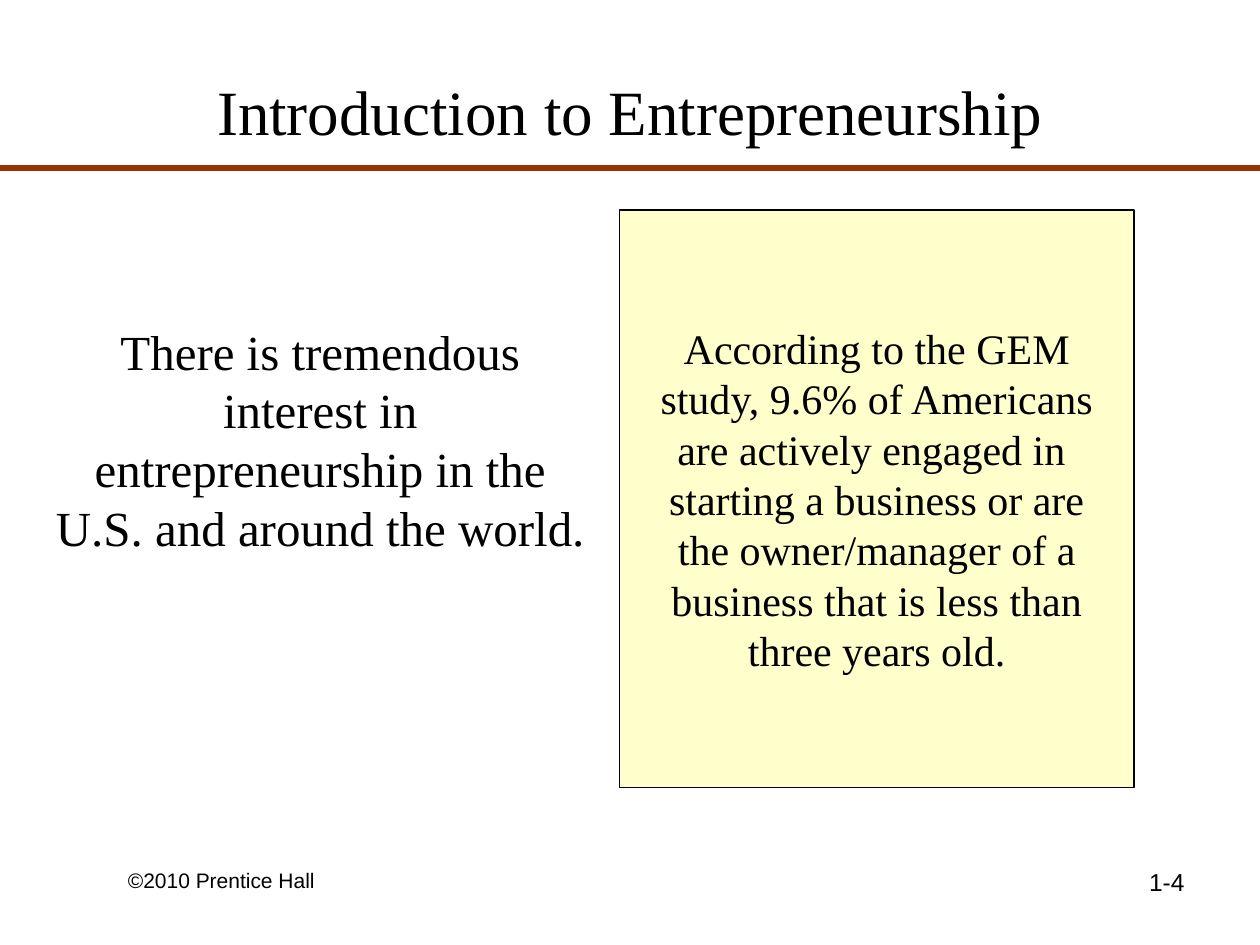
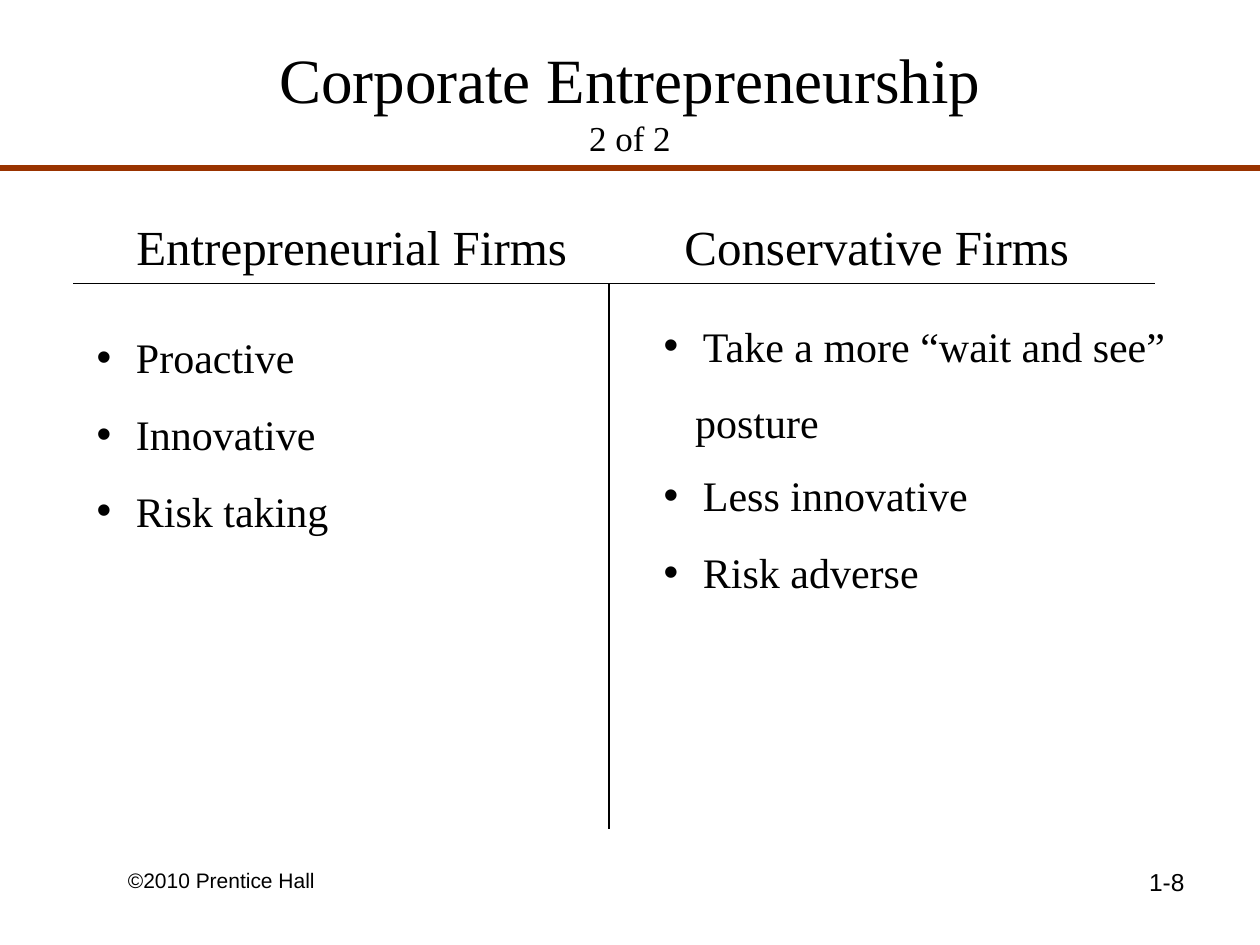
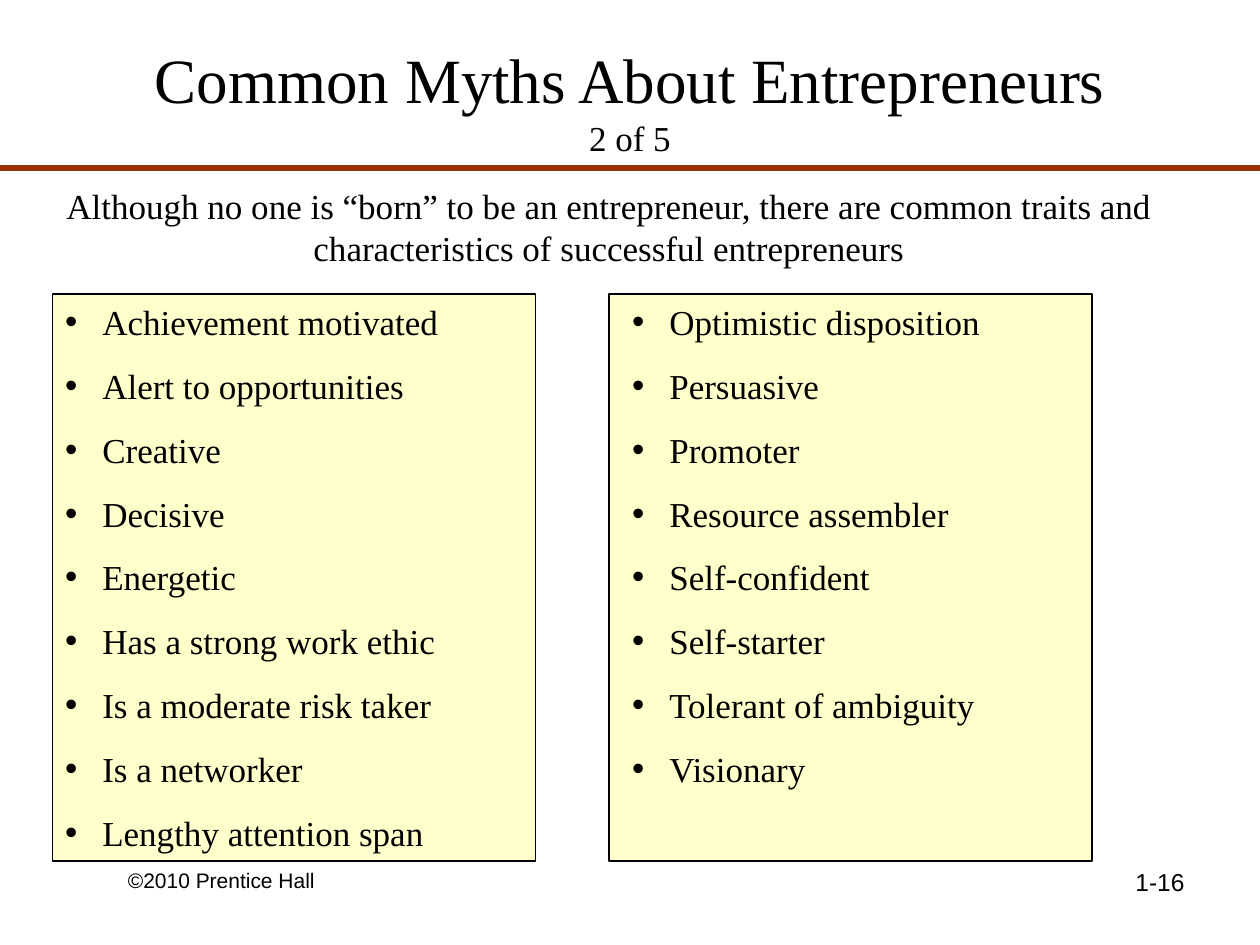
from lxml import etree
from pptx import Presentation
from pptx.dml.color import RGBColor
from pptx.enum import shapes, text
from pptx.oxml import ns
from pptx.util import Pt

INK, RULE, PANEL = "000000", "993300", "FFFFCC"
SERIF, SANS = "Times New Roman", "Arial"
LEFT, CENTER, RIGHT = text.PP_ALIGN.LEFT, text.PP_ALIGN.CENTER, text.PP_ALIGN.RIGHT


def color(value):
    return RGBColor.from_string(value)


def write(sp, box, lines, size, align=LEFT, gap=0, font=SERIF, hang=0):
    """Place a text shape and fill it, one paragraph per line."""
    sp.left, sp.top, sp.width, sp.height = [Pt(v) for v in box]
    tf = sp.text_frame
    tf.word_wrap = True
    tf.auto_size = text.MSO_AUTO_SIZE.NONE
    tf.vertical_anchor = text.MSO_ANCHOR.TOP
    for i, line in enumerate(lines):
        p = tf.paragraphs[0] if i == 0 else tf.add_paragraph()
        pPr = p._p.get_or_add_pPr()
        pPr.set("marL", str(Pt(hang)))
        pPr.set("indent", str(Pt(-hang)))
        p.alignment = align
        p.line_spacing = Pt(1.2 * size)
        p.space_before = Pt(gap if i else 0)
        r = p.add_run()
        r.text = line
        r.font.name, r.font.size, r.font.bold = font, Pt(size), False
        r.font.color.rgb = color(INK)
    return tf


prs = Presentation()
prs.slide_width, prs.slide_height = Pt(720), Pt(540)

# Shared frame: title, rule, copyright and page number
pages = [
    ("Title Only", "Introduction to Entrepreneurship", None, "1-4", 18),
    ("Comparison", "Corporate Entrepreneurship", "2 of 2", "1-8", 12),
    ("Two Content", "Common Myths About Entrepreneurs", "2 of 5", "1-16", 12),
]
rules = [[(0, 96, 720, 96, RULE, 3)] for page in pages]
rules[1] += [(348, 162, 348, 474, INK, 0.75), (42, 162, 660, 162, INK, 0.75)]

for (layout, title, part, number, top), lines in zip(pages, rules):
    s = prs.slides.add_slide(prs.slide_layouts.get_by_name(layout))
    sp = s.shapes.title
    sp.left, sp.top, sp.width, sp.height = Pt(36), Pt(top), Pt(648), Pt(90)
    tf = sp.text_frame
    tf.auto_size = text.MSO_AUTO_SIZE.NONE
    tf.vertical_anchor = text.MSO_ANCHOR.MIDDLE
    p = tf.paragraphs[0]
    p.alignment = CENTER
    for words, size in ((title, 36), (part, 20)):
        if words:
            if p.runs:
                p.add_line_break()
            r = p.add_run()
            r.text = words
            r.font.name, r.font.size = SERIF, Pt(size)
            r.font.color.rgb = color(INK)

    for x1, y1, x2, y2, ink, weight in lines:
        ln = s.shapes.add_connector(shapes.MSO_CONNECTOR.STRAIGHT, Pt(x1), Pt(y1), Pt(x2), Pt(y2))
        ln.line.color.rgb, ln.line.width = color(ink), Pt(weight)
        etree.SubElement(ln._element.spPr, ns.qn("a:effectLst"))

    write(s.shapes.add_textbox(0, 0, 0, 0), (66, 492, 168, 19.5),
          ["©2010 Prentice Hall"], 12, font=SANS)
    write(s.shapes.add_textbox(0, 0, 0, 0), (516, 492, 168, 37.5),
          [number], 14, RIGHT, font=SANS)

intro, firms, myths = prs.slides

# Slide 1: statement and study result
write(intro.shapes.add_textbox(0, 0, 0, 0), (24, 180, 318, 142),
      ["There is tremendous interest in entrepreneurship in the U.S. and around the world."],
      28, CENTER)
study = [
    "According to the GEM",
    "study, 9.6% of Americans",
    "are actively engaged in ",
    "starting a business or are",
    "the owner/manager of a",
    "business that is less than",
    "three years old.",
]
panels = [intro.shapes.add_shape(shapes.MSO_SHAPE.RECTANGLE, 0, 0, 0, 0)]
tf = write(panels[0], (354, 120, 294, 330), study, 24, CENTER)
tf.vertical_anchor = text.MSO_ANCHOR.MIDDLE
tf.word_wrap = False

# Slide 2: two kinds of firms
ph = firms.placeholders
write(ph[1], (60, 120, 282, 41), ["Entrepreneurial Firms"], 28, CENTER)
write(ph[3], (372, 120, 258, 41), ["Conservative Firms"], 28, CENTER)
write(ph[2], (48, 186, 294, 124), ["Proactive", "Innovative", "Risk taking"],
      24, gap=15, hang=22.5)
tf = write(ph[4], (372, 179.3, 312, 168),
           ["Take a more “wait and see”", "posture", "Less innovative", "Risk adverse"],
           24, gap=15, hang=22.5)
posture, less = tf.paragraphs[1:3]
pPr = posture._p.get_or_add_pPr()
pPr.set("marL", str(Pt(18)))
pPr.set("indent", "0")
etree.SubElement(pPr, ns.qn("a:buNone"))
less.space_before = Pt(13)

# Slide 3: traits in two panels
write(myths.shapes.add_textbox(0, 0, 0, 0), (30, 102, 636, 55.5),
      ["Although no one is “born” to be an entrepreneur, there are common traits "
       "and characteristics of successful entrepreneurs"], 20, CENTER)
traits = [
    (1, 30, 30, 264, ["Achievement motivated", "Alert to opportunities", "Creative",
                      "Decisive", "Energetic", "Has a strong work ethic",
                      "Is a moderate risk taker", "Is a networker",
                      "Lengthy attention span"]),
    (2, 348, 354, 270, ["Optimistic disposition", "Persuasive", "Promoter",
                        "Resource assembler", "Self-confident", "Self-starter",
                        "Tolerant of ambiguity", "Visionary"]),
]
for idx, panel_x, list_x, width, items in traits:
    body = myths.placeholders[idx]
    write(body, (list_x, 168, width, 324), items, 20, gap=12.5, hang=21.25)
    panel = myths.shapes.add_shape(shapes.MSO_SHAPE.RECTANGLE,
                                   Pt(panel_x), Pt(168), Pt(276), Pt(324))
    body._element.addprevious(panel._element)
    panels.append(panel)

# Panel style
for panel in panels:
    panel.shadow.inherit = False
    panel.fill.solid()
    panel.fill.fore_color.rgb = color(PANEL)
    panel.line.color.rgb, panel.line.width = color(INK), Pt(0.75)

prs.save("out.pptx")
